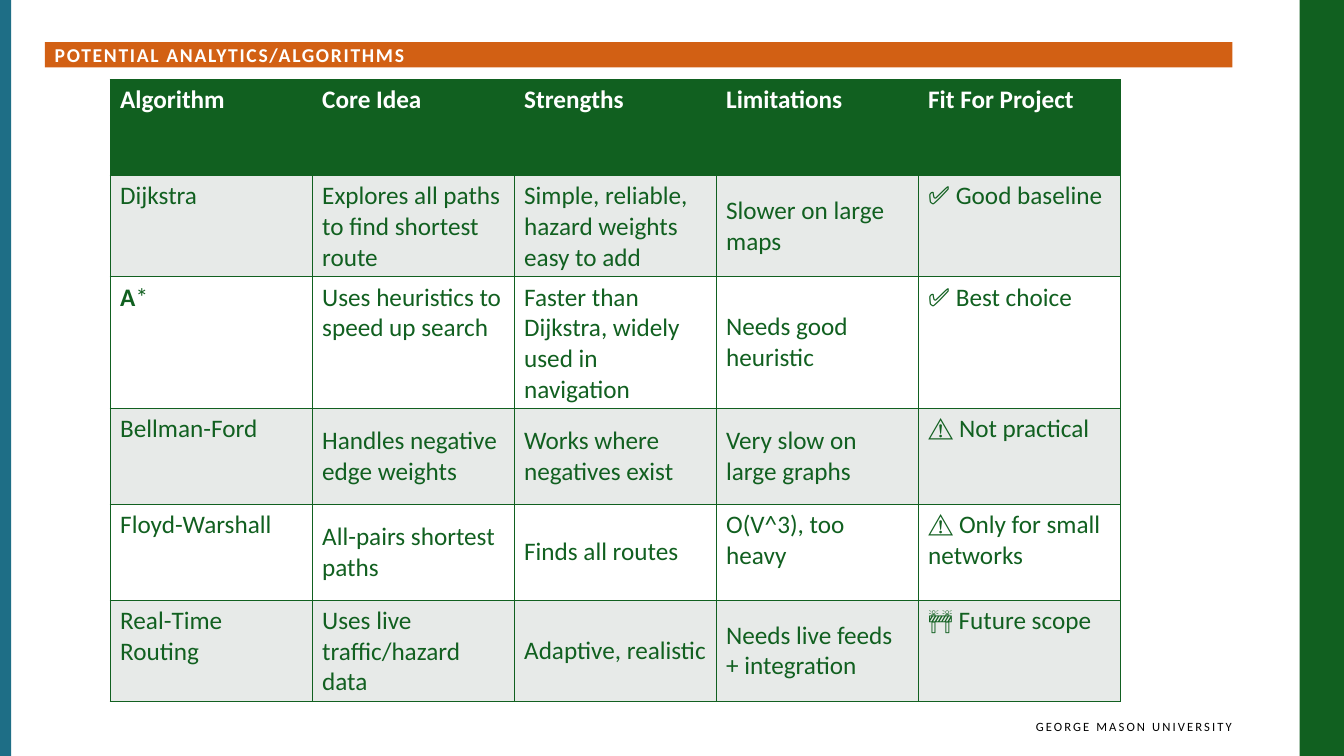
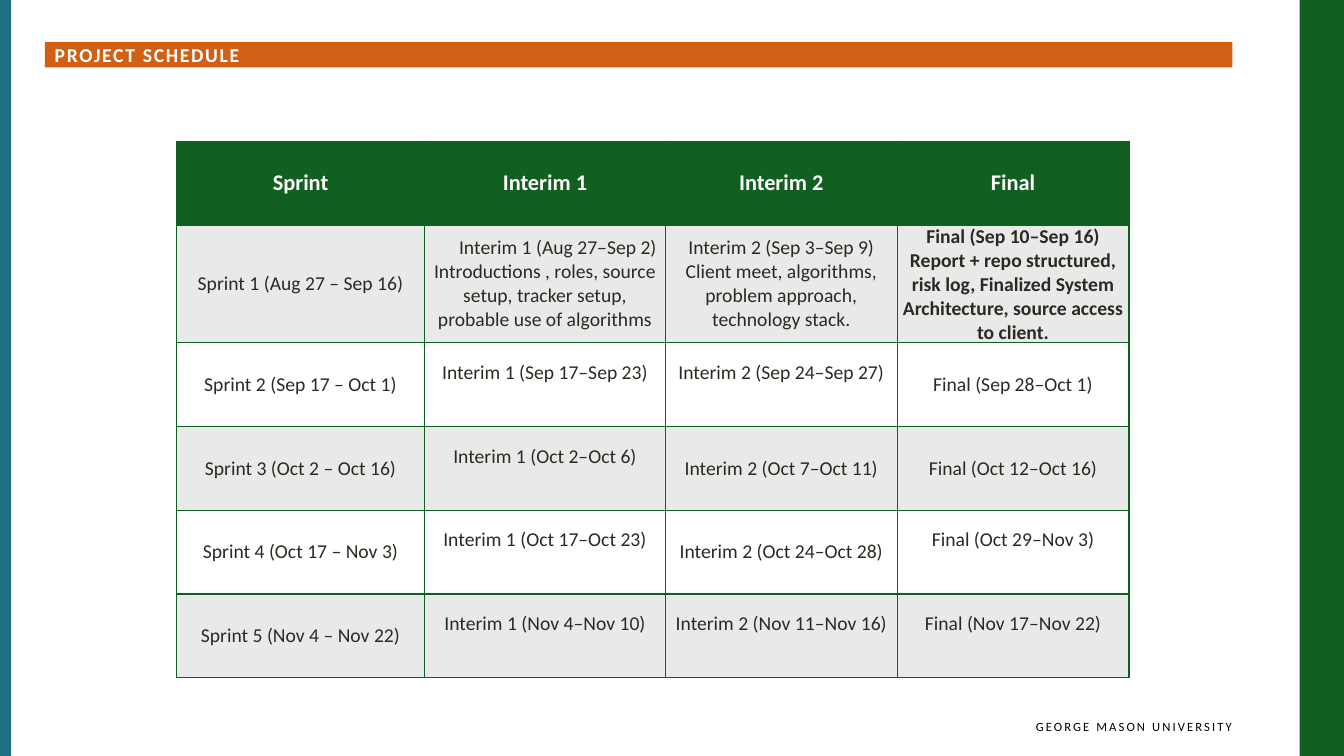
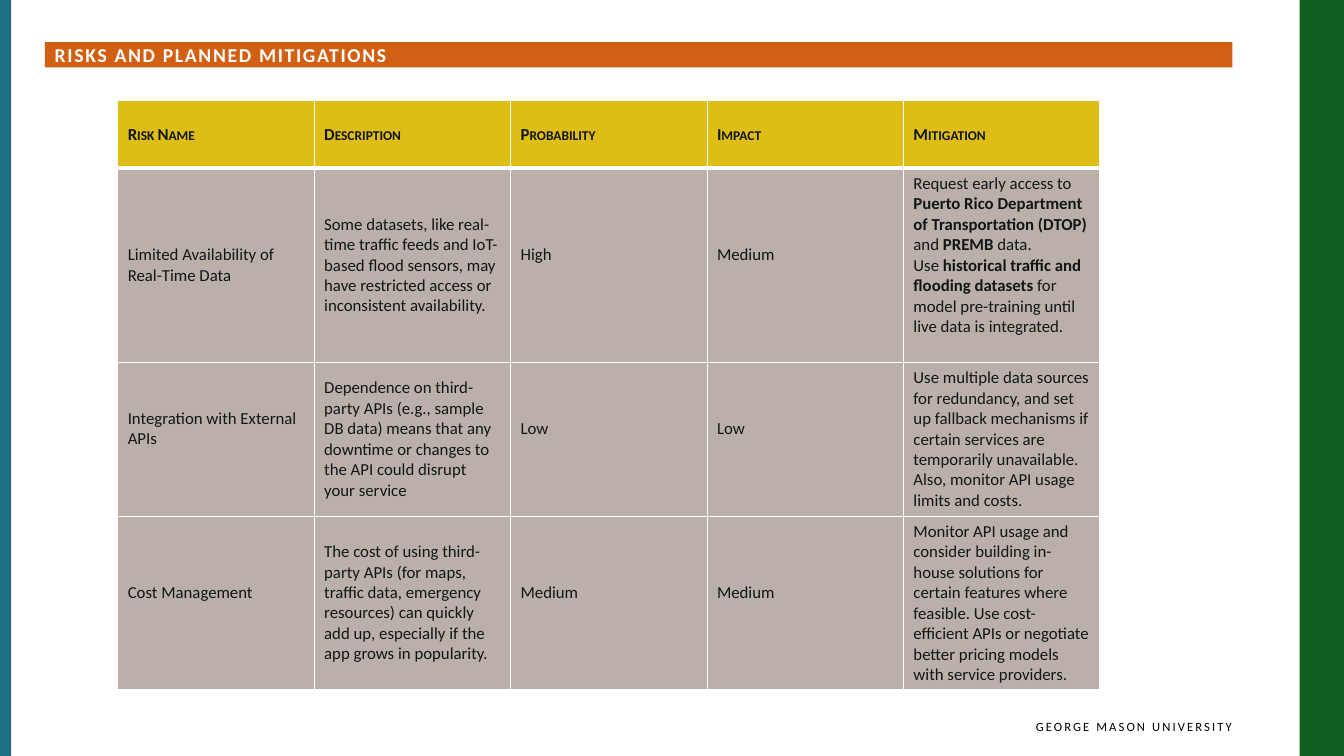
"""Build three project slides: algorithms, schedule and risks."""
from lxml import etree
from pptx import Presentation
from pptx.dml.color import RGBColor
from pptx.enum.shapes import MSO_SHAPE
from pptx.enum.text import MSO_ANCHOR, PP_ALIGN
from pptx.oxml.ns import qn
from pptx.util import Cm, Pt

RECTANGLE = MSO_SHAPE.RECTANGLE
TOP, MIDDLE = MSO_ANCHOR.TOP, MSO_ANCHOR.MIDDLE
LEFT, CENTER, RIGHT = PP_ALIGN.LEFT, PP_ALIGN.CENTER, PP_ALIGN.RIGHT

FONT = "Calibri"
COLORS = {
    "green": "116020", "blue": "1E6E86", "orange": "D26014", "white": "FFFFFF",
    "black": "000000", "mist": "E7EAE8", "brown": "2C2921", "ink": "111618",
    "yellow": "DFBD17", "taupe": "BAB0A9",
}
BANDS = [
    ("green", 32.75, 0, 1.12, 19.05),
    ("blue", 0, 0, 0.28, 19.05),
    ("orange", 1.13, 1.06, 29.93, 0.64),
]

SLIDES = [
    {
        "title": "POTENTIAL ANALYTICS/ALGORITHMS",
        "left": 2.78, "top": 2.01,
        "columns": [5.09] * 5, "rows": [2.42] * 6,
        "header_size": 18, "body_size": 18,
        "header_text": "white", "body_text": "green",
        "header_fill": "green", "body_fills": ["mist", "white"],
        "border": "green", "header_rule": 1, "header_caps": "none",
        "alignment": LEFT, "margins": (0.25, 0.13), "lift": 0, "lifted": [],
        "top_cells": [(row, column) for row in range(6) for column in (0, 4)]
        + [(0, 1), (0, 2), (0, 3), (1, 1), (2, 1), (4, 3)],
        "indents": {},
        "cells": [
            ["Algorithm", "Core Idea", "Strengths", "Limitations", "Fit For Project"],
            ["Dijkstra", "Explores all paths to find shortest route",
             "Simple, reliable, hazard weights easy to add",
             "Slower on large maps", "✅ Good baseline"],
            ["**A***", "Uses heuristics to speed up search",
             "Faster than Dijkstra, widely used in navigation",
             "Needs good heuristic", "✅ Best choice"],
            ["Bellman-Ford", "Handles negative edge weights",
             "Works where negatives exist", "Very slow on large graphs",
             "⚠️ Not practical"],
            ["Floyd-Warshall", "All-pairs shortest paths", "Finds all routes",
             "O(V^3), too heavy", "⚠️ Only for small networks"],
            ["Real-Time Routing", "Uses live traffic/hazard data",
             "Adaptive, realistic", "Needs live feeds + integration",
             "🚧 Future scope"],
        ],
    },
    {
        "title": "PROJECT SCHEDULE",
        "left": 4.45, "top": 3.56,
        "columns": [6.25, 6.07, 5.84, 5.84], "rows": [2.11] * 6,
        "header_size": 16, "body_size": 14,
        "header_text": "white", "body_text": "brown",
        "header_fill": "green", "body_fills": ["mist", "white"],
        "border": "green", "header_rule": 1, "header_caps": "none",
        "alignment": CENTER, "margins": (0, 0), "lift": 0.6,
        "lifted": [(2, 1), (2, 2), (3, 1), (4, 1), (4, 3), (5, 1), (5, 2), (5, 3)],
        "top_cells": [],
        "indents": {"Interim 1 (Aug 27–Sep 2)": 0.65},
        "cells": [
            ["Sprint", "Interim 1", "Interim 2", "Final"],
            ["Sprint 1 (Aug 27 – Sep 16)",
             "Interim 1 (Aug 27–Sep 2)\nIntroductions , roles, source setup, "
             "tracker setup,\nprobable use of algorithms",
             "Interim 2 (Sep 3–Sep 9)\nClient meet, algorithms, problem approach, "
             "technology stack.",
             "**Final (Sep 10–Sep 16)**\n**Report + repo structured, risk log, "
             "Finalized System Architecture, source access to client.**"],
            ["Sprint 2 (Sep 17 – Oct 1)", "Interim 1 (Sep 17–Sep 23)",
             "Interim 2 (Sep 24–Sep 27)", "Final (Sep 28–Oct 1)"],
            ["Sprint 3 (Oct 2 – Oct 16)", "Interim 1 (Oct 2–Oct 6)",
             "Interim 2 (Oct 7–Oct 11)", "Final (Oct 12–Oct 16)"],
            ["Sprint 4 (Oct 17 – Nov 3)", "Interim 1 (Oct 17–Oct 23)",
             "Interim 2 (Oct 24–Oct 28)", "Final (Oct 29–Nov 3)"],
            ["Sprint 5 (Nov 4 – Nov 22)", "Interim 1 (Nov 4–Nov 10)",
             "Interim 2 (Nov 11–Nov 16)", "Final (Nov 17–Nov 22)"],
        ],
    },
    {
        "title": "RISKS AND PLANNED MITIGATIONS",
        "left": 2.97, "top": 2.54,
        "columns": [4.95] * 5, "rows": [1.7, 4.89, 3.88, 4.37],
        "header_size": 12, "body_size": 12,
        "header_text": "ink", "body_text": "ink",
        "header_fill": "yellow", "body_fills": ["taupe"],
        "border": "white", "header_rule": 3, "header_caps": "small",
        "alignment": LEFT, "margins": (0.25, 0.13), "lift": 0.52,
        "lifted": [(1, 2), (1, 3), (1, 4), (2, 0), (2, 2), (2, 3),
                   (3, 0), (3, 2), (3, 3)],
        "top_cells": [],
        "indents": {},
        "cells": [
            ["Risk Name", "Description", "Probability", "Impact", "Mitigation"],
            ["Limited Availability of Real-Time Data",
             "Some datasets, like real-time traffic feeds and IoT-based flood "
             "sensors, may have restricted access or inconsistent availability.",
             "High", "Medium",
             "Request early access to **Puerto Rico Department of Transportation "
             "(DTOP)** and **PREMB** data.\nUse **historical traffic and flooding "
             "datasets** for model pre-training until live data is integrated."],
            ["Integration with External APIs",
             "Dependence on third-party APIs (e.g., sample DB data) means that any "
             "downtime or changes to the API could disrupt your service",
             "Low", "Low",
             "Use multiple data sources for redundancy, and set up fallback "
             "mechanisms if certain services are temporarily unavailable. Also, "
             "monitor API usage limits and costs."],
            ["Cost Management",
             "The cost of using third-party APIs (for maps, traffic data, emergency "
             "resources) can quickly add up, especially if the app grows in "
             "popularity.",
             "Medium", "Medium",
             "Monitor API usage and consider building in-house solutions for "
             "certain features where feasible. Use cost-efficient APIs or negotiate "
             "better pricing models with service providers."],
        ],
    },
]


def style_paragraph(paragraph, size, color, bold, alignment, spacing=0, caps="none"):
    paragraph.alignment = alignment
    font = paragraph.font
    font.name, font.size, font.bold = FONT, Pt(size), bold
    font.color.rgb = RGBColor.from_string(COLORS[color])
    defaults = paragraph._p.pPr.find(qn("a:defRPr"))
    defaults.set("spc", str(round(spacing * 100)))
    defaults.set("cap", caps)


def add_border(cell, side, color, width):
    properties = cell._tc.get_or_add_tcPr()
    line = etree.SubElement(properties, qn(f"a:ln{side}"), w=str(Pt(width)))
    fill = etree.SubElement(line, qn("a:solidFill"))
    etree.SubElement(fill, qn("a:srgbClr"), val=COLORS[color])


presentation = Presentation()
presentation.slide_width, presentation.slide_height = Cm(33.87), Cm(19.05)

for content in SLIDES:
    slide = presentation.slides.add_slide(presentation.slide_layouts[6])

    for color, *box in BANDS:
        band = slide.shapes.add_shape(RECTANGLE, *map(Cm, box))
        band.shadow.inherit = False
        band.fill.solid()
        band.fill.fore_color.rgb = RGBColor.from_string(COLORS[color])
        band.line.fill.background()

    title = band.text_frame
    title.word_wrap = True
    title.vertical_anchor = MIDDLE
    title.margin_left = title.margin_right = Cm(0.25)
    title.margin_top = title.margin_bottom = 0
    title.text = content["title"]
    style_paragraph(title.paragraphs[0], 14, "white", True, LEFT, spacing=1.2)

    footer = slide.shapes.add_textbox(Cm(17.22), Cm(17.98), Cm(13.82), Cm(0.84)).text_frame
    footer.word_wrap = True
    footer.margin_right = 0
    footer.text = "GEORGE MASON UNIVERSITY"
    style_paragraph(footer.paragraphs[0], 9, "black", False, RIGHT, spacing=1.5)

    columns, rows = content["columns"], content["rows"]
    table = slide.shapes.add_table(
        len(rows), len(columns), Cm(content["left"]), Cm(content["top"]),
        Cm(sum(columns)), Cm(sum(rows))).table
    table.first_row = table.horz_banding = False
    for column, width in zip(table.columns, columns):
        column.width = Cm(width)
    for row, height in zip(table.rows, rows):
        row.height = Cm(height)

    side_margin, edge_margin = content["margins"]
    body_fills = content["body_fills"]
    for row_index, texts in enumerate(content["cells"]):
        is_header = row_index == 0
        part = "header" if is_header else "body"
        fill = content["header_fill"] if is_header else body_fills[(row_index - 1) % len(body_fills)]
        for column_index, text in enumerate(texts):
            position = (row_index, column_index)
            cell = table.cell(*position)
            for side in "LRTB":
                touches_rule = (row_index, side) in [(0, "B"), (1, "T")]
                add_border(cell, side, content["border"],
                           content["header_rule"] if touches_rule else 1)
            cell.fill.solid()
            cell.fill.fore_color.rgb = RGBColor.from_string(COLORS[fill])
            cell.margin_left = cell.margin_right = Cm(side_margin)
            cell.margin_top = Cm(edge_margin)
            lift = content["lift"] if position in content["lifted"] else 0
            cell.margin_bottom = Cm(edge_margin + lift)
            cell.vertical_anchor = TOP if position in content["top_cells"] else MIDDLE

            for line_index, line in enumerate(text.split("\n")):
                frame = cell.text_frame
                paragraph = frame.add_paragraph() if line_index else frame.paragraphs[0]
                for piece_index, piece in enumerate(line.split("**")):
                    if piece:
                        run = paragraph.add_run()
                        run.text = piece
                        if piece_index % 2:
                            run.font.bold = True
                style_paragraph(
                    paragraph, content[f"{part}_size"], content[f"{part}_text"],
                    is_header, content["alignment"],
                    caps=content["header_caps"] if is_header else "none")
                if line in content["indents"]:
                    paragraph._p.pPr.set("marL", str(Cm(content["indents"][line])))

presentation.save("out.pptx")
